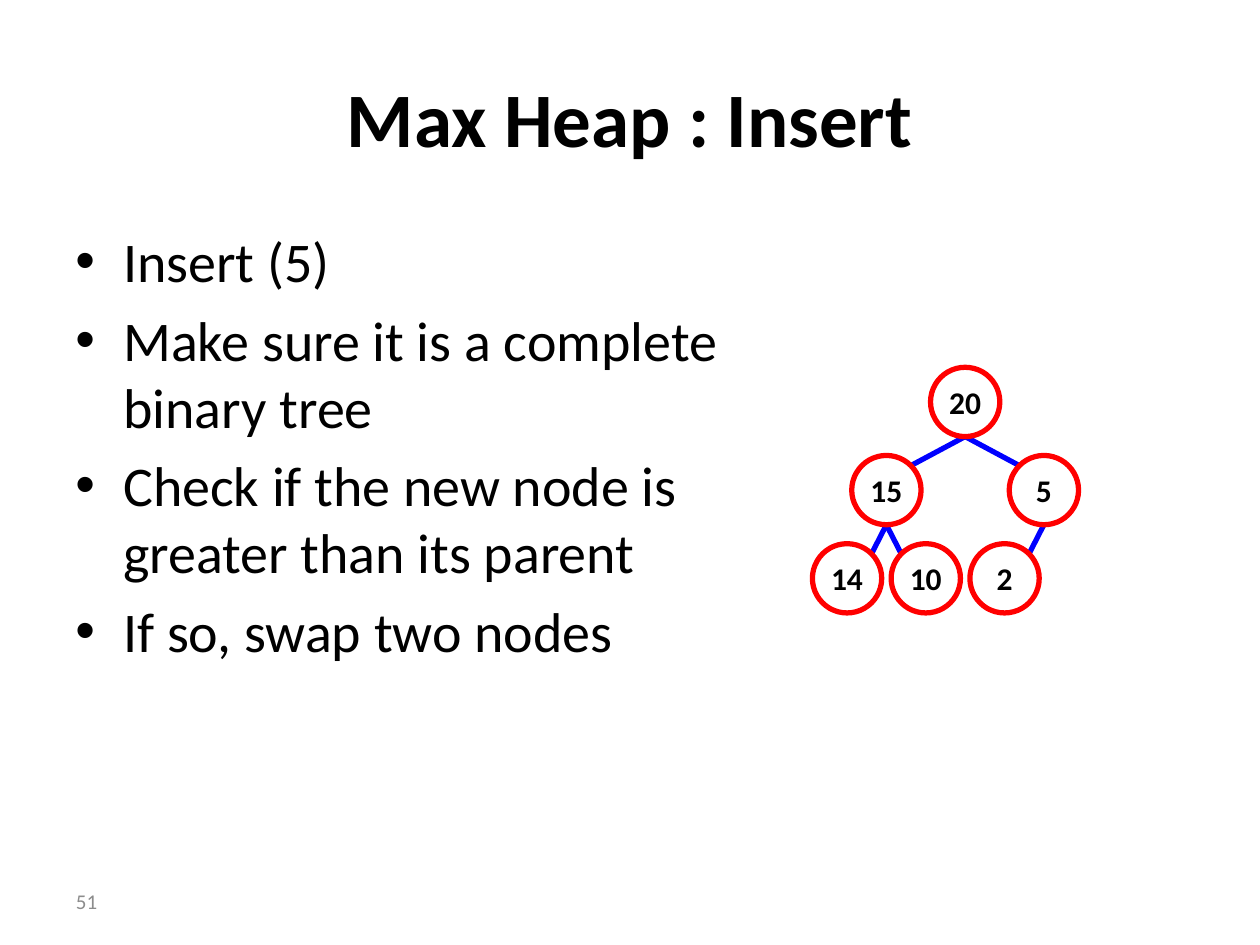
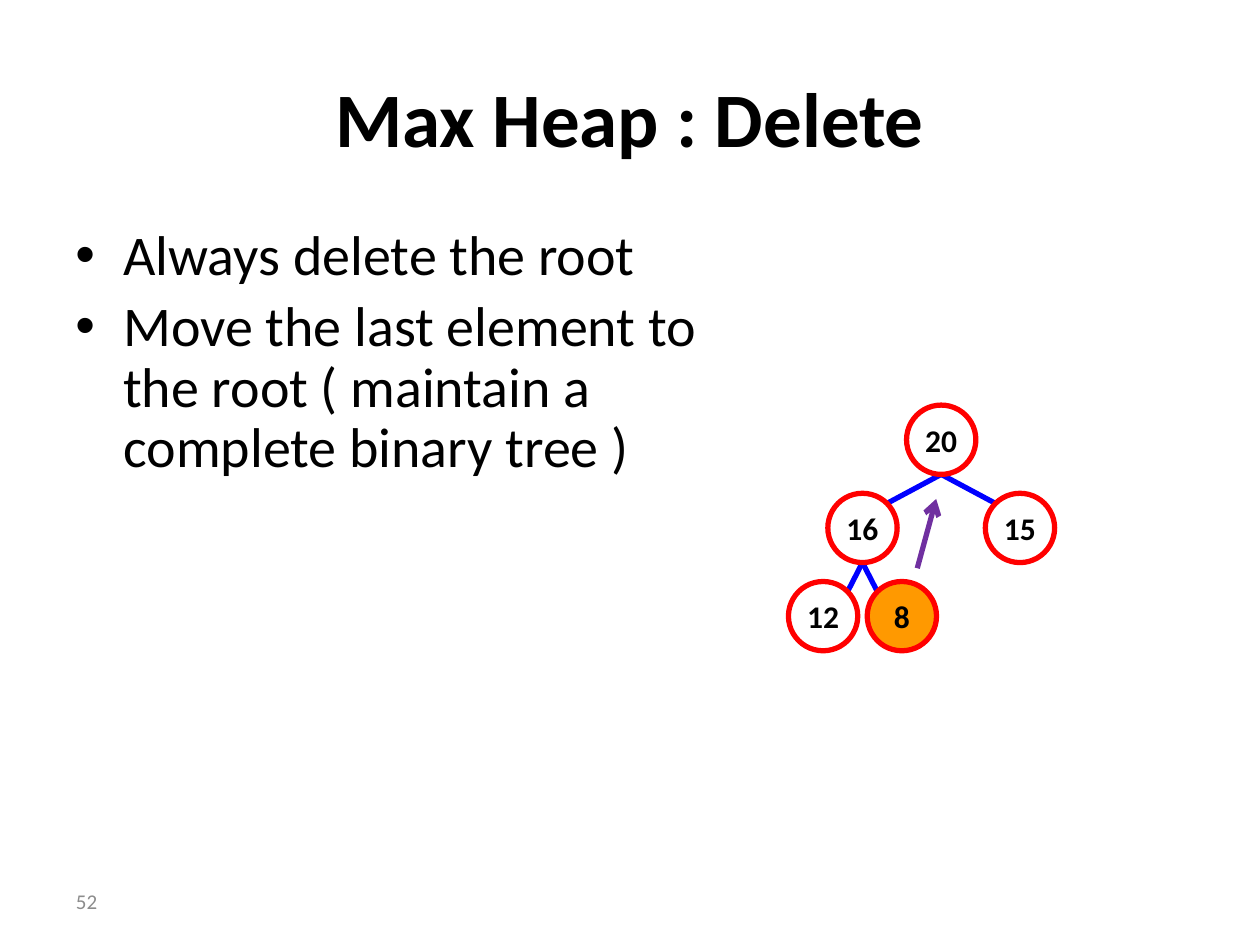
from dataclasses import dataclass
from math import sqrt

from lxml import etree
from pptx import Presentation
from pptx.dml.color import RGBColor
from pptx.enum import shapes, text
from pptx.oxml.ns import qn
from pptx.util import Inches, Pt


@dataclass(frozen=True)
class Theme:
    font: str = "Calibri"
    ink: str = "000000"
    muted: str = "8C8C8C"
    ring: str = "FF0000"
    edge: str = "0000FF"
    move: str = "7030A0"
    highlight: str = "FF9900"
    title_size: float = 44
    body_size: float = 32
    node_size: float = 18
    number_size: float = 12
    line_width: float = 3


THEME = Theme()
DIAMETER = 0.55
LEVEL_HEIGHT = 0.7
ROOT_SPREAD = 0.625  # horizontal distance from the root to its children
BULLET_INDENT = 0.38


def color(value):
    return RGBColor.from_string(value)


def write(frame, lines, *, size, ink=THEME.ink, bold=False,
          align=text.PP_ALIGN.LEFT, anchor=text.MSO_ANCHOR.TOP,
          line_spacing=None, space_before=0, bulleted=False):
    """Fill a text frame with one paragraph per line."""
    frame.word_wrap = True
    frame.vertical_anchor = anchor
    for index, line in enumerate(lines):
        paragraph = frame.paragraphs[0] if index == 0 else frame.add_paragraph()
        paragraph.alignment = align
        paragraph.space_before = Pt(space_before)
        if line_spacing:
            paragraph.line_spacing = line_spacing
        if bulleted:
            add_bullet(paragraph)
        run = paragraph.add_run()
        run.text = line
        run.font.name = THEME.font
        run.font.size = Pt(size)
        run.font.bold = bold
        run.font.color.rgb = color(ink)


def add_bullet(paragraph):
    properties = paragraph._p.get_or_add_pPr()
    properties.set("marL", str(Inches(BULLET_INDENT)))
    properties.set("indent", str(Inches(-BULLET_INDENT)))
    font = etree.SubElement(properties, qn("a:buFont"))
    font.set("typeface", "Arial")
    etree.SubElement(properties, qn("a:buChar")).set("char", "•")


def add_text(slide, lines, left, top, width, height, **style):
    box = slide.shapes.add_textbox(*map(Inches, (left, top, width, height)))
    write(box.text_frame, lines, **style)


def add_line(slide, start, end, line_color, arrow=False):
    line = slide.shapes.add_connector(
        shapes.MSO_CONNECTOR.STRAIGHT, *map(Inches, (*start, *end)))
    line.line.color.rgb = color(line_color)
    line.line.width = Pt(THEME.line_width)
    if arrow:
        tail = etree.SubElement(line.line._get_or_add_ln(), qn("a:tailEnd"))
        tail.set("type", "arrow")
    etree.SubElement(line._element.spPr, qn("a:effectLst"))


def add_node(slide, center, label, fill=None):
    x, y = center
    node = slide.shapes.add_shape(
        shapes.MSO_SHAPE.OVAL, Inches(x - DIAMETER / 2), Inches(y - DIAMETER / 2),
        Inches(DIAMETER), Inches(DIAMETER))
    node.shadow.inherit = False
    if fill:
        node.fill.solid()
        node.fill.fore_color.rgb = color(fill)
    else:
        node.fill.background()
    node.line.color.rgb = color(THEME.ring)
    node.line.width = Pt(THEME.line_width)
    frame = node.text_frame
    frame.margin_left = frame.margin_right = 0
    frame.margin_top = frame.margin_bottom = 0
    write(frame, [label], size=THEME.node_size, bold=True,
          align=text.PP_ALIGN.CENTER, anchor=text.MSO_ANCHOR.MIDDLE)


def heap_centers(root, count):
    """Centers of the nodes in array order: node i hangs under (i - 1) // 2."""
    centers = [root]
    for index in range(1, count):
        x, y = centers[(index - 1) // 2]
        level = (index + 1).bit_length() - 1
        spread = ROOT_SPREAD / 2 ** (level - 1)
        side = -1 if index % 2 else 1
        centers.append((x + side * spread, y + LEVEL_HEIGHT))
    return centers


def add_heap(slide, root, values, highlighted=None):
    centers = heap_centers(root, len(values))
    radius = DIAMETER / 2
    diagonal = radius / sqrt(2)
    for index in range(1, len(values)):
        x, y = centers[index]
        parent_x, parent_y = centers[(index - 1) // 2]
        inward = diagonal if parent_x > x else -diagonal
        add_line(slide, (x + inward, y - diagonal),
                 (parent_x, parent_y + radius), THEME.edge)
    for center, value in zip(centers, values):
        fill = THEME.highlight if value == highlighted else None
        add_node(slide, center, str(value), fill)


def add_slide(presentation, title, bullets, number, body_width, line_spacing=None):
    slide = presentation.slides.add_slide(presentation.slide_layouts[6])
    add_text(slide, [title], 0.5, 0.3, 9, 1.25, size=THEME.title_size, bold=True,
             align=text.PP_ALIGN.CENTER, anchor=text.MSO_ANCHOR.MIDDLE)
    add_text(slide, bullets, 0.5, 1.75, body_width, 4.95, size=THEME.body_size,
             line_spacing=line_spacing, space_before=0.2 * THEME.body_size,
             bulleted=True)
    add_text(slide, [str(number)], 0.27, 6.95, 0.6, 0.4, size=THEME.number_size,
             ink=THEME.muted, align=text.PP_ALIGN.RIGHT,
             anchor=text.MSO_ANCHOR.MIDDLE)
    return slide


def main():
    presentation = Presentation()
    presentation.slide_width = Inches(10)
    presentation.slide_height = Inches(7.5)

    insert = add_slide(presentation, "Max Heap : Insert", [
        "Insert (5)",
        "Make sure it is a complete binary tree",
        "Check if the new node is greater than its parent",
        "If so, swap two nodes",
    ], number=51, body_width=5.37)
    add_heap(insert, (7.66, 3.19), [20, 15, 5, 14, 10, 2])

    delete = add_slide(presentation, "Max Heap : Delete", [
        "Always delete the root",
        "Move the last element to the root ( maintain a complete binary tree )",
    ], number=52, body_width=5.52, line_spacing=0.9)
    add_heap(delete, (7.47, 3.49), [20, 16, 15, 12, 8], highlighted=8)
    add_line(delete, (7.28, 4.51), (7.43, 3.96), THEME.move, arrow=True)

    presentation.save("out.pptx")


if __name__ == "__main__":
    main()
